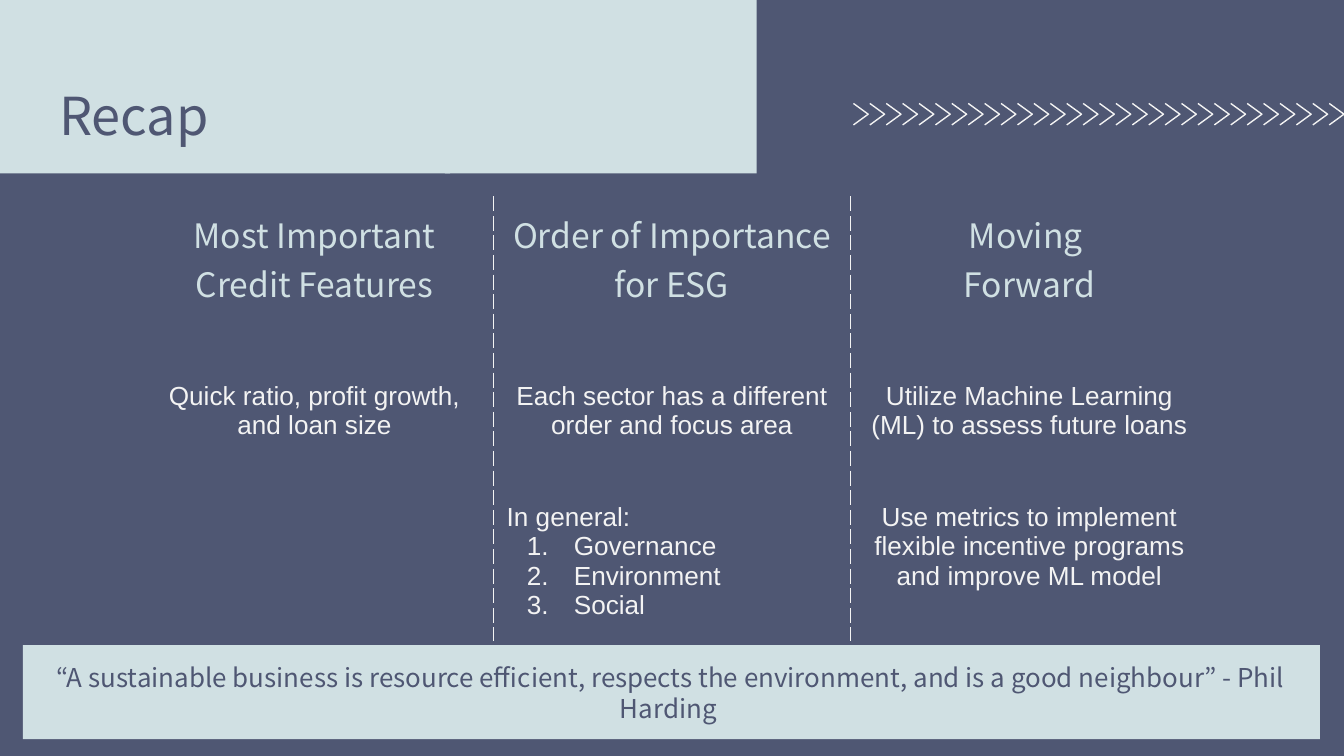
import pptx
import pptx.util
import pptx.dml.color
import pptx.enum.shapes
import pptx.enum.text
import pptx.oxml
import pptx.oxml.ns

Inches, Pt = pptx.util.Inches, pptx.util.Pt
ALIGN = pptx.enum.text.PP_ALIGN
COLORS = {"navy": "4F5773", "mint": "D0E0E3", "pale": "F3F3F3"}
HEAD, BODY = "Noto Sans CJK KR", "Arial"
WIDE = 10
HIGH = WIDE * 9 / 16

# Content
TITLE = "Recap"
QUOTE = ("“A sustainable business is resource efficient, respects the "
         "environment, and is a good neighbour” - Phil Harding ")
HEADS = [["Most Important Credit Features"],
         ["Order of Importance for ESG"],
         ["Moving ", "Forward"]]
POINTS = [["Quick ratio, profit growth, and loan size"],
          ["Each sector has a different order and focus area"],
          ["Utilize Machine Learning (ML) to assess future loans"]]
RANKS = ["In general:", "Governance", "Environment", "Social"]
PLANS = [[], RANKS,
         ["Use metrics to implement flexible incentive programs "
          "and improve ML model"]]
ROWS = [(1.28, HEADS), (0.9, POINTS), (1.13, PLANS)]
COL = 2.66
PANELS = [(0, 0, 3.35, 1.29), (3.31, 0, 2.32, 1.29), (0.17, 4.8, 9.65, 0.7)]
ARROWS, FIRST, LAST = 30, 6.35, 9.89
STEP = (LAST - FIRST) / (ARROWS - 1)


def rgb(name):
    return pptx.dml.color.RGBColor.from_string(COLORS[name])


def style(para, size, face, color, align=ALIGN.CENTER):
    para.alignment = align
    font = para.font
    font.size, font.name, font.bold = Pt(size), face, False
    font.color.rgb = rgb(color)


def inset(frame):
    frame.word_wrap = True
    frame.vertical_anchor = pptx.enum.text.MSO_ANCHOR.MIDDLE
    frame.margin_left = frame.margin_right = Inches(0.1)
    frame.margin_top = frame.margin_bottom = Inches(0.1)


def xml(tag, inner, attrs=""):
    space = pptx.oxml.ns.nsdecls("a")
    return pptx.oxml.parse_xml(f"<a:{tag} {space} {attrs}>{inner}</a:{tag}>")


def fill(color):
    return f'<a:solidFill><a:srgbClr val="{COLORS[color]}"/></a:solidFill>'


def border(cell, dashed):
    """Dash the named sides of a cell and clear the others."""
    props = cell._tc.get_or_add_tcPr()
    for spot, side in enumerate("LRTB"):
        inner = "<a:noFill/>"
        if side in dashed:
            inner = fill("pale") + '<a:prstDash val="dash"/>'
        props.insert(spot, xml("ln" + side, inner, f'w="{Pt(0.75)}"'))


def number(para):
    props = para._p.get_or_add_pPr()
    props.set("marL", str(Inches(0.5)))
    props.set("indent", str(Inches(-0.35)))
    props.append(xml("buClr", f'<a:srgbClr val="{COLORS["pale"]}"/>'))
    props.append(xml("buAutoNum", "", 'type="arabicPeriod"'))


deck = pptx.Presentation()
deck.slide_width, deck.slide_height = Inches(WIDE), Inches(HIGH)
slide = deck.slides.add_slide(deck.slide_layouts[5])
slide.background.fill.solid()
slide.background.fill.fore_color.rgb = rgb("navy")
shapes = slide.shapes

# Light panels behind the title and the quote
for box in PANELS:
    panel = shapes.add_shape(pptx.enum.shapes.MSO_SHAPE.RECTANGLE,
                             *map(Inches, box))
    panel.shadow.inherit = False
    panel.fill.solid()
    panel.fill.fore_color.rgb = rgb("mint")
    panel.line.fill.background()

# Row of chevrons
for i in range(ARROWS):
    left = FIRST + i * STEP
    pen = shapes.build_freeform(Inches(left), Inches(0.77))
    pen.add_line_segments([(Inches(left + 0.11), Inches(0.85)),
                           (Inches(left), Inches(0.93))], close=False)
    arrow = pen.convert_to_shape()
    arrow.shadow.inherit = False
    arrow.fill.background()
    arrow.line.color.rgb = rgb("pale")
    arrow.line.width = Pt(0.75)

# Title, brought in front of its panel
title = shapes.title
title.left, title.top = Inches(0.34), Inches(0.59)
title.width, title.height = Inches(2.9), Inches(0.52)
title.element.getparent().append(title.element)
title.text_frame.text = TITLE
inset(title.text_frame)
style(title.text_frame.paragraphs[0], 28, HEAD, "navy", ALIGN.LEFT)

# Three-column table
tall = sum(height for height, _ in ROWS)
table = shapes.add_table(len(ROWS), len(HEADS), Inches(1.01), Inches(1.46),
                         Inches(COL * len(HEADS)), Inches(tall)).table
table.first_row = table.horz_banding = False
for col in table.columns:
    col.width = Inches(COL)
for r, (height, cells) in enumerate(ROWS):
    table.rows[r].height = Inches(height)
    for c, lines in enumerate(cells):
        cell = table.cell(r, c)
        cell.fill.background()
        cell.margin_left = cell.margin_right = Inches(0.1)
        cell.margin_top = cell.margin_bottom = Inches(0.1)
        border(cell, ("R", "LR", "L")[c])
        cell.text_frame.text = "\n".join(lines)
        for n, para in enumerate(cell.text_frame.paragraphs):
            if lines is RANKS:
                if n:
                    number(para)
                style(para, 14, BODY, "pale", ALIGN.LEFT)
            elif r:
                para.space_after = Pt(12)
                style(para, 14, BODY, "pale")
            else:
                style(para, 18, HEAD, "mint")

# Closing quote
quote = shapes.add_textbox(Inches(0.17), Inches(4.86),
                           Inches(9.65), Inches(0.59)).text_frame
quote.text = QUOTE
inset(quote)
style(quote.paragraphs[0], 13.9, HEAD, "navy")

deck.save("out.pptx")
